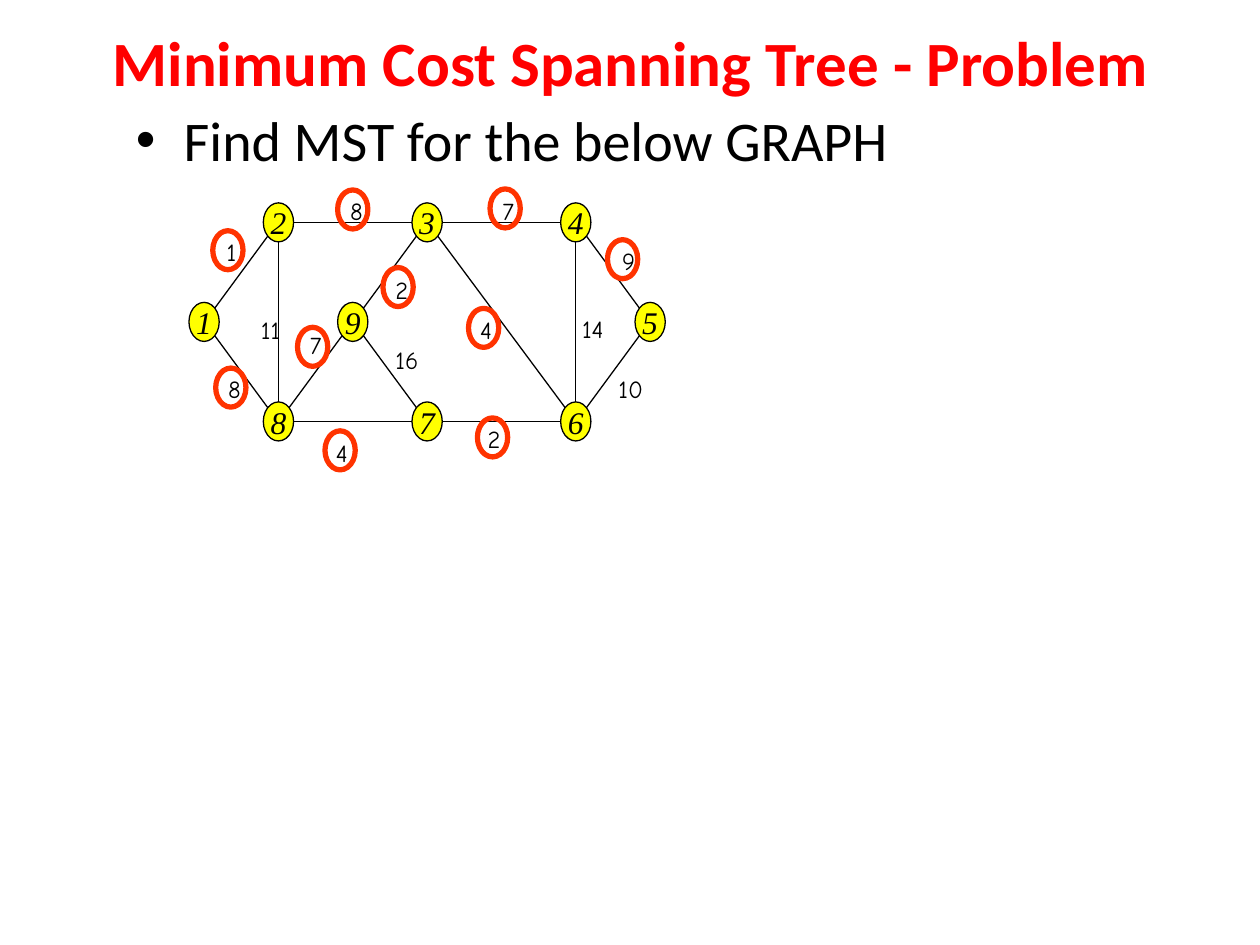
import math

import pptx
import pptx.dml.color
import pptx.enum.shapes
import pptx.enum.text
import pptx.oxml.xmlchemy
import pptx.util

COLORS = {"title": "FF0000", "ink": "000000", "node": "FFFF00", "ring": "FF3300"}
UNIT = pptx.util.Inches(0.1)
COLUMNS, ROWS = 100, 75
NODE_W, NODE_H = 2.4, 3.1
LAST_COL, LAST_ROW = 6, 2

NODES = {
    "1": (0, 1), "2": (1, 0), "8": (1, 2), "9": (2, 1), "3": (3, 0),
    "7": (3, 2), "5": (6, 1), "4": (5, 0), "6": (5, 2),
}
EDGES = ["12", "18", "82", "89", "93", "97", "34", "76", "64", "36", "23", "45", "65", "87"]
RINGED_WEIGHTS = [
    ("4", (1.81, 2.3), (1.83, 2.29)),
    ("8", (2, -0.13), (2, -0.13)),
    ("7", (4.05, -0.13), (4.05, -0.14)),
    ("9", (5.66, 0.37), (5.63, 0.37)),
    ("4", (3.75, 1.06), (3.76, 1.06)),
    ("2", (2.61, 0.66), (2.61, 0.65)),
    ("2", (3.85, 2.16), (3.88, 2.16)),
    ("1", (0.34, 0.28), (0.32, 0.28)),
    ("7", (1.46, 1.22), (1.46, 1.25)),
    ("8", (0.36, 1.66), (0.36, 1.66)),
]
PLAIN_WEIGHTS = [
    ("10", (5.61, 1.66)), ("14", (5.12, 1.05)), ("11", (0.8, 1.06)), ("16", (2.61, 1.37)),
]


def emu(*lengths):
    return [round(n * UNIT) for n in lengths]


def rgb(name):
    return pptx.dml.color.RGBColor.from_string(COLORS[name])


def write(sp, text, size, font, color="ink", centered=False, wrap=False, bold=False, italic=False):
    tf = sp.text_frame
    tf.word_wrap = wrap
    tf.text = text
    p = tf.paragraphs[0]
    if centered:
        p.alignment = pptx.enum.text.PP_ALIGN.CENTER
        tf.vertical_anchor = pptx.enum.text.MSO_ANCHOR.MIDDLE
    f = p.runs[0].font
    f.size, f.name = pptx.util.Pt(size), font
    f.bold, f.italic = bold, italic
    f.color.rgb = rgb(color)
    return p


def add_ellipse(shapes, x, y, line, width, fill=None):
    sp = shapes.add_shape(pptx.enum.shapes.MSO_SHAPE.OVAL, *emu(x, y, NODE_W, NODE_H))
    sp.shadow.inherit = False
    if fill:
        sp.fill.solid()
        sp.fill.fore_color.rgb = rgb(fill)
    else:
        sp.fill.background()
    sp.line.color.rgb = rgb(line)
    sp.line.width = pptx.util.Pt(width)
    return sp


def add_edge(shapes, start, end):
    steps = [(b > a) - (b < a) for a, b in zip(start, end)]
    scale = math.sqrt(0.5) if all(steps) else 1
    dx, dy = steps[0] * scale * NODE_W / 2, steps[1] * scale * NODE_H / 2
    line = shapes.add_connector(
        pptx.enum.shapes.MSO_CONNECTOR.STRAIGHT,
        *emu(start[0] + dx, start[1] + dy, end[0] - dx, end[1] - dy))
    line.line.color.rgb = rgb("ink")
    line.line.width = pptx.util.Pt(0.75)
    line._element.spPr.append(pptx.oxml.xmlchemy.OxmlElement("a:effectLst"))


def add_weight(shapes, text, x, y):
    sp = shapes.add_textbox(*emu(x, y, 2.3 + 0.9 * len(text), 3.4))
    write(sp, text, 14, "Comic Neue")
    sp.text_frame.auto_size = pptx.enum.text.MSO_AUTO_SIZE.SHAPE_TO_FIT_TEXT


def add_title(s, box, text):
    write(s.shapes.add_textbox(*emu(*box)), text, 36, "Calibri", "title",
          centered=True, wrap=True, bold=True)


def add_body(s, box, text):
    sp = s.shapes.add_textbox(*emu(*box))
    p = write(sp, text, 32, "Calibri", wrap=True)
    pPr = p._p.get_or_add_pPr()
    indent = pptx.util.Inches(0.38)
    pPr.set("marL", str(indent))
    pPr.set("indent", str(-indent))
    for tag, key, value in (("a:buFont", "typeface", "Arial"), ("a:buChar", "char", "•")):
        bullet = pptx.oxml.xmlchemy.OxmlElement(tag)
        bullet.set(key, value)
        pPr.append(bullet)


def add_graph(s, box):
    left, top, width, height = box
    col, row = (width - NODE_W) / LAST_COL, (height - NODE_H) / LAST_ROW

    def place(cell):
        return left + cell[0] * col, top + cell[1] * row

    group = s.shapes.add_group_shape()
    centers = {}
    for name, cell in NODES.items():
        x, y = place(cell)
        centers[name] = (x + NODE_W / 2, y + NODE_H / 2)
        sp = add_ellipse(group.shapes, x, y, "ink", 0.75, "node")
        write(sp, name, 18, "Times New Roman", centered=True, italic=True)
    for start, end in EDGES:
        add_edge(group.shapes, centers[start], centers[end])

    for text, cell, ring in RINGED_WEIGHTS:
        add_weight(s.shapes, text, *place(cell))
        add_ellipse(s.shapes, *place(ring), "ring", 3)
    for text, cell in PLAIN_WEIGHTS:
        add_weight(s.shapes, text, *place(cell))


def main():
    prs = pptx.Presentation()
    prs.slide_width, prs.slide_height = emu(COLUMNS, ROWS)
    s = prs.slides.add_slide(prs.slide_layouts[6])
    add_title(s, (-5.5, 0.3, 111.1, 9.2), "Minimum Cost Spanning Tree - Problem")
    add_body(s, (9.8, 7.9, 87.2, 59.2), "Find MST for the below GRAPH")
    add_graph(s, (15, 16.1, 37.8, 18.9))
    prs.save("out.pptx")


if __name__ == "__main__":
    main()
